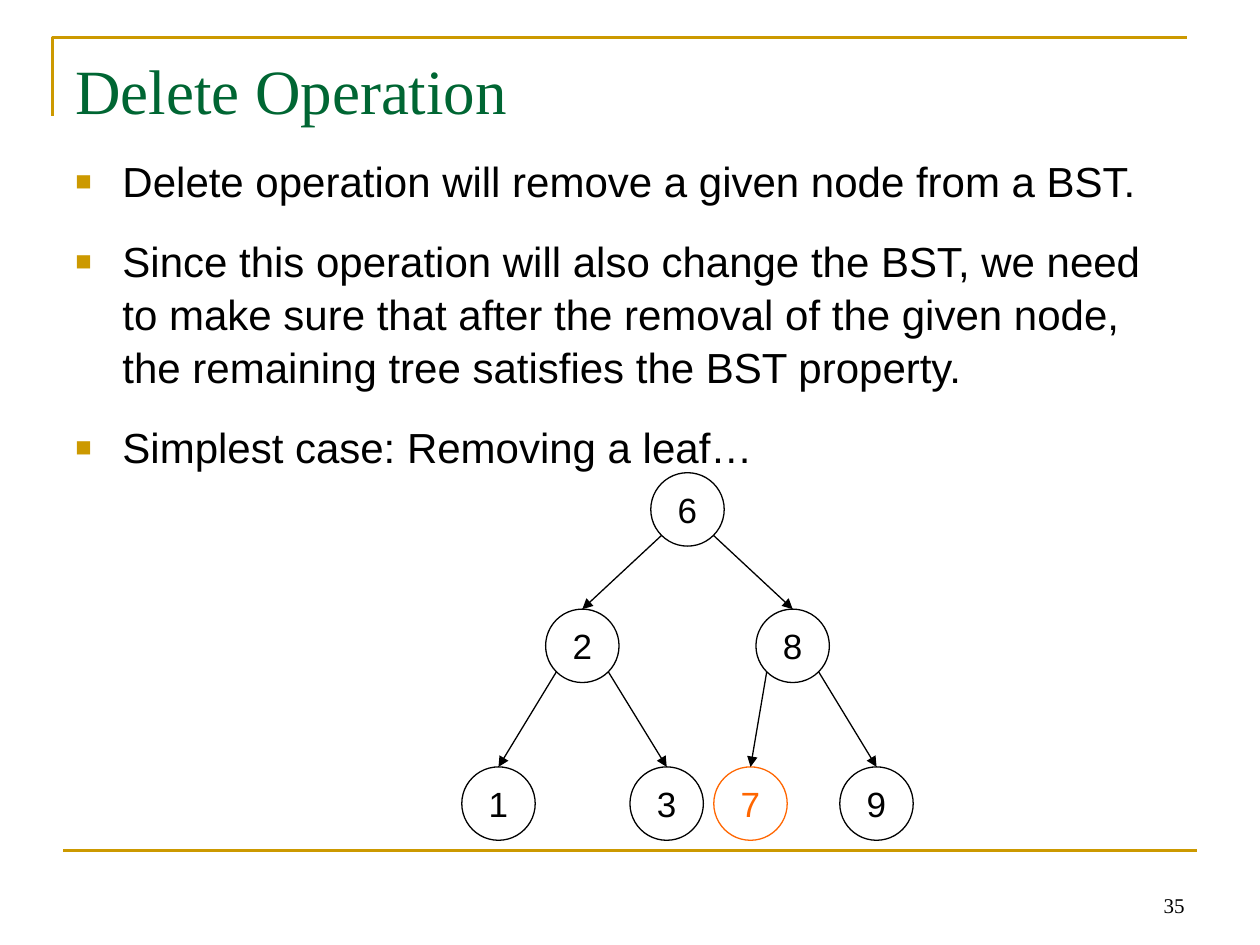
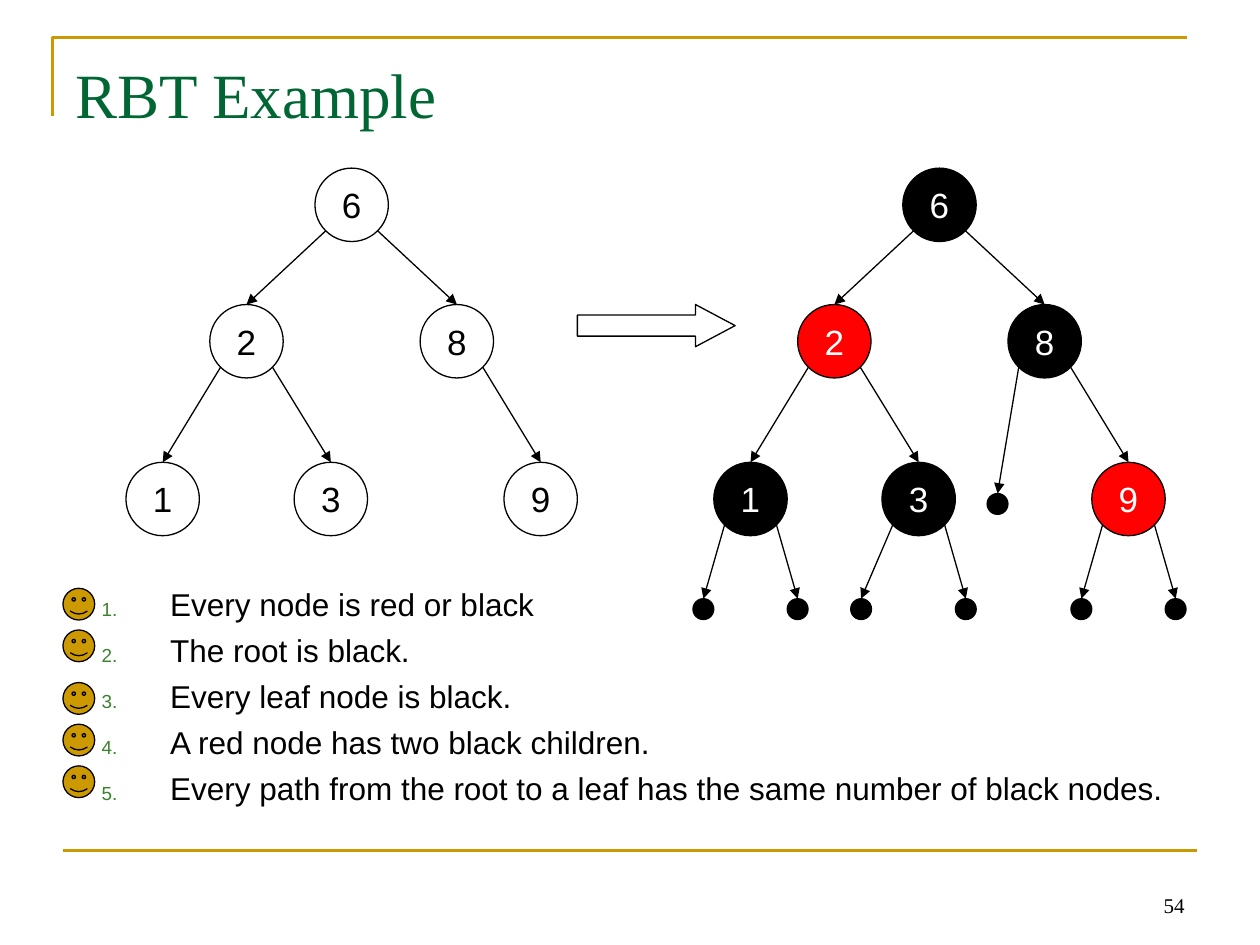
from math import sqrt

from lxml.etree import SubElement
from pptx import Presentation
from pptx.dml.color import RGBColor
from pptx.enum.shapes import MSO_CONNECTOR as Link, MSO_SHAPE as Kind
from pptx.enum.text import MSO_ANCHOR as Anchor, PP_ALIGN as Align
from pptx.oxml.ns import qn
from pptx.util import Cm, Pt

GOLD = RGBColor(0xCC, 0x99, 0x00)
GREEN = RGBColor(0x00, 0x66, 0x33)
LEAF = RGBColor(0x3B, 0x81, 0x2F)
BLACK = RGBColor(0x00, 0x00, 0x00)
WHITE = RGBColor(0xFF, 0xFF, 0xFF)
RED = RGBColor(0xFF, 0x01, 0x01)
ORANGE = RGBColor(0xFF, 0x66, 0x00)

SANS, SERIF = "Arial", "Times New Roman"
NODE, DOT, FACE = 1.48, 0.42, 0.64
PORT = NODE / 2 / sqrt(2)  # offset of a node's lower corners from its centre

# key: (x and y from the root's centre, parent)
SPOTS = {
    "6": (0, 0, None),
    "2": (-2.12, 2.75, "6"),
    "8": (2.12, 2.75, "6"),
    "1": (-3.81, 5.93, "2"),
    "3": (-0.42, 5.93, "2"),
    "7": (1.27, 5.93, "8"),
    "9": (3.81, 5.93, "8"),
}
# parent, x and y from the parent's centre
DOTS = [
    ("1", -0.95, 2.22), ("1", 0.95, 2.22),
    ("3", -1.16, 2.22), ("3", 0.95, 2.22),
    ("8", -0.95, 3.28),
    ("9", -0.95, 2.22), ("9", 0.95, 2.22),
]


class Deck:
    def __init__(self):
        self.prs = Presentation()
        self.prs.slide_width, self.prs.slide_height = Cm(25.4), Cm(19.05)

    def page(self, title, top, number):
        self.slide = self.prs.slides.add_slide(self.prs.slide_layouts[6])
        self.shapes = self.slide.shapes
        self.frame()
        self.line(1.27, 17.15, 24.13, 17.15, GOLD, 1.5)
        foot = self.box(18.2, 17.36, 5.93, 1.27)
        foot.vertical_anchor = Anchor.BOTTOM
        self.put(foot.paragraphs[0], number, SERIF, 12, BLACK, Align.RIGHT)
        head = self.box(1.27, top, 22.86, 3.18)
        head.margin_top = Cm(0.27)
        self.put(head.paragraphs[0], title, SERIF, 36, GREEN)

    def frame(self):
        """Draw the open corner around the title."""
        edge = self.shapes.build_freeform(Cm(1.06), Cm(2.33))
        edge.add_line_segments([(Cm(1.06), Cm(0.76)), (Cm(23.92), Cm(0.76))],
                               close=False)
        self.paint(edge.convert_to_shape(), None, GOLD, 1.5)

    def paint(self, shape, fill, line=BLACK, width=0.75):
        shape.shadow.inherit = False
        if fill is None:
            shape.fill.background()
        else:
            shape.fill.solid()
            shape.fill.fore_color.rgb = fill
        shape.line.color.rgb = line
        shape.line.width = Pt(width)

    def box(self, x, y, w, h):
        text = self.shapes.add_textbox(Cm(x), Cm(y), Cm(w), Cm(h)).text_frame
        text.word_wrap = True
        return text

    def put(self, para, text, face, size, color, align=Align.LEFT):
        """Set the words and style of a paragraph."""
        para.text = text
        para.alignment = align
        font = para.font
        font.name, font.size, font.color.rgb = face, Pt(size), color

    def line(self, x1, y1, x2, y2, color=BLACK, width=0.75):
        link = self.shapes.add_connector(Link.STRAIGHT, Cm(x1), Cm(y1),
                                         Cm(x2), Cm(y2))
        link.line.color.rgb = color
        link.line.width = Pt(width)
        SubElement(link._element.spPr, qn("a:effectLst"))
        return link

    def shape(self, kind, x, y, w, h, fill=None, line=BLACK):
        shape = self.shapes.add_shape(kind, Cm(x), Cm(y), Cm(w), Cm(h))
        self.paint(shape, fill, line)
        return shape

    def disc(self, x, y, size, fill=None, line=BLACK):
        """Draw a circle around a centre."""
        return self.shape(Kind.OVAL, x - size / 2, y - size / 2, size, size,
                          fill, line)

    def node(self, x, y, key, fill, line, ink):
        disc = self.disc(x, y, NODE, fill, line)
        text = disc.text_frame
        text.word_wrap = False
        text.margin_left = text.margin_right = 0
        text.margin_top = text.margin_bottom = 0
        text.vertical_anchor = Anchor.MIDDLE
        self.put(text.paragraphs[0], key, SANS, 20, ink, Align.CENTER)
        return disc

    def edge(self, x, y, child, side):
        """Point from a lower corner of the node at x, y to a child's top."""
        link = self.line(x + side * PORT, y + PORT, x, y)
        link.end_connect(child, 0)
        stroke = link._element.spPr.find(qn("a:ln"))
        SubElement(stroke, qn("a:tailEnd"), type="triangle")

    def tree(self, x, y, keys, looks, usual=(None, BLACK, BLACK)):
        """Draw nodes below a root; looks holds (fill, line, ink) by key."""
        for key in keys:
            dx, dy, parent = SPOTS[key]
            disc = self.node(x + dx, y + dy, key, *looks.get(key, usual))
            if parent:
                px, py, _ = SPOTS[parent]
                self.edge(x + px, y + py, disc, 1 if dx > px else -1)

    def dots(self, x, y):
        """Hang the empty leaves under the tree rooted at x, y."""
        for parent, dx, dy in DOTS:
            px, py = x + SPOTS[parent][0], y + SPOTS[parent][1]
            dot = self.disc(px + dx, py + dy, DOT, BLACK)
            self.edge(px, py, dot, 1 if dx > 0 else -1)

    def items(self, text, lines, size, gap, left, hang, mark):
        """Fill a list; mark is (colour, percent, tag, attributes)."""
        color, part, tag, attrs = mark
        for i, line in enumerate(lines):
            para = text.add_paragraph() if i else text.paragraphs[0]
            para.line_spacing = 1.05
            para.space_before = Pt(gap if i else 0)
            props = para._p.get_or_add_pPr()
            props.set("marL", str(Cm(left)))
            props.set("indent", str(-Cm(hang)))
            tint = SubElement(props, qn("a:buClr"))
            SubElement(tint, qn("a:srgbClr"), val=str(color))
            SubElement(props, qn("a:buSzPct"), val=str(part * 1000))
            SubElement(props, qn("a:buFont"), typeface=SANS)
            SubElement(props, qn(tag), **attrs)
            self.put(para, line, SANS, size, BLACK)


def remove(deck):
    deck.page("Delete Operation", 0.76, "35")
    deck.items(deck.box(1.27, 2.96, 22.86, 12.57), [
        "Delete operation will remove a given node from a BST.",
        "Since this operation will also change the BST, we need to make sure "
        "that after the removal of the given node, the remaining tree "
        "satisfies the BST property.",
        "Simplest case: Removing a leaf…",
    ], 24, 15.7, 0.95, 0.95, (GOLD, 65, "a:buChar", {"char": "■"}))
    deck.tree(13.86, 10.27, "6281397", {"7": (None, ORANGE, ORANGE)})


def colour(deck):
    deck.page("RBT Example", 0.85, "54")
    deck.tree(7.09, 4.13, "628139", {})
    red = (RED, BLACK, WHITE)
    deck.tree(18.94, 4.13, "628139", {"2": red, "9": red},
              (BLACK, BLACK, WHITE))
    deck.dots(18.94, 4.13)
    arrow = deck.shape(Kind.RIGHT_ARROW, 11.64, 6.14, 3.18, 0.85)
    arrow.adjustments[1] = 0.94
    deck.items(deck.box(0.85, 11.64, 22.86, 5.29), [
        "Every node is red or black",
        "The root is black.",
        "Every leaf node is black.",
        "A red node has two black children.",
        "Every path from the root to a leaf has the same number of black "
        "nodes.",
    ], 18, 3.6, 2.33, 1.38,
        (LEAF, 60, "a:buAutoNum", {"type": "arabicPeriod"}))
    for y in (11.86, 12.7, 13.76, 14.6, 15.44):
        deck.shape(Kind.SMILEY_FACE, 1.27, y, FACE, FACE, GOLD)


def main():
    deck = Deck()
    remove(deck)
    colour(deck)
    deck.prs.save("out.pptx")


if __name__ == "__main__":
    main()
